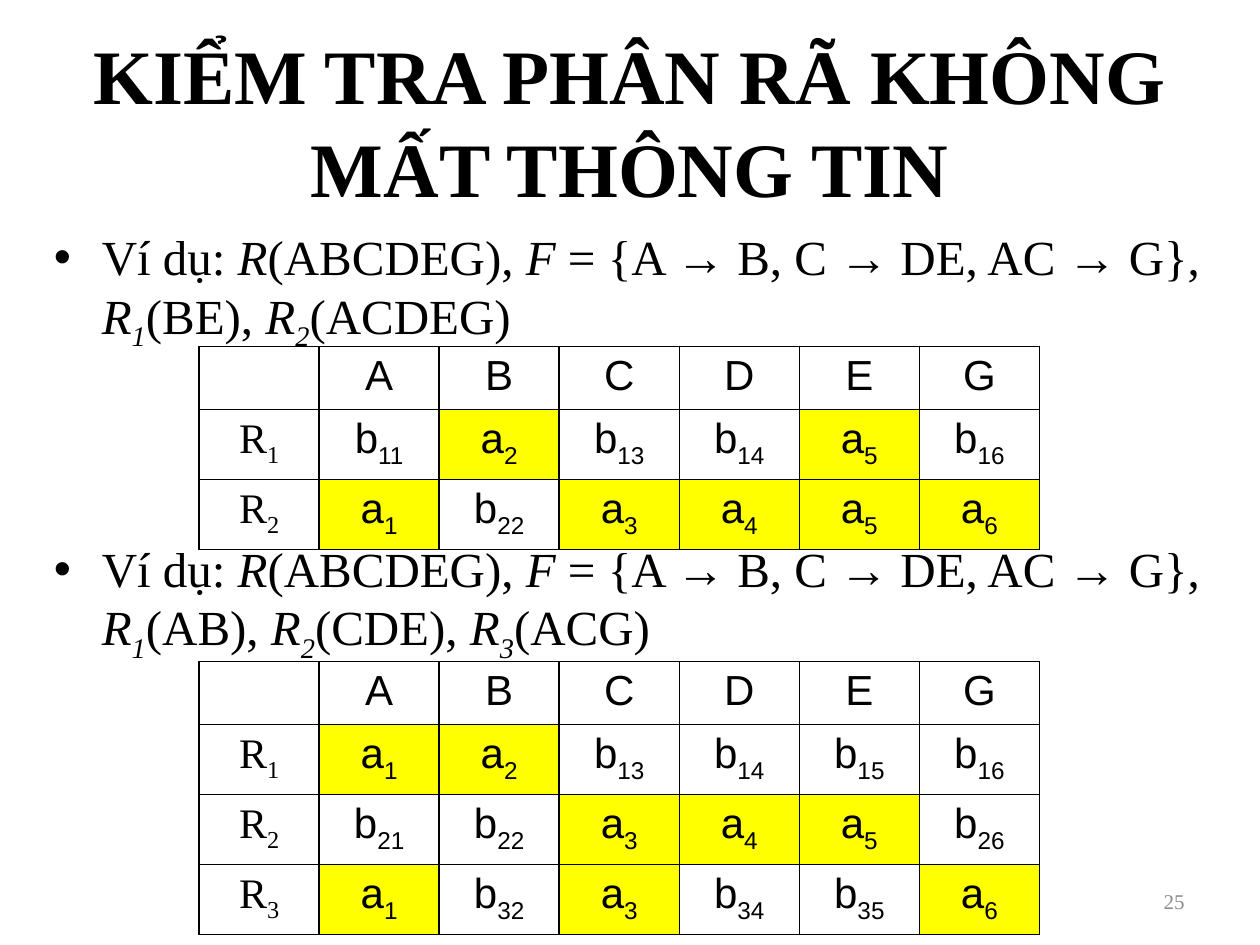
import pptx
import pptx.dml.color
import pptx.enum.text
import pptx.oxml
import pptx.oxml.ns
import pptx.util
from lxml import etree

Inches, Pt = pptx.util.Inches, pptx.util.Pt
ALIGN, ANCHOR = pptx.enum.text.PP_ALIGN, pptx.enum.text.MSO_ANCHOR
SERIF, SANS = "Times New Roman", "Arial"
BLACK, GREY, YELLOW = "000000", "8C8C8C", "FFFF00"

TITLE = "KIỂM TRA PHÂN RÃ KHÔNG MẤT THÔNG TIN"
PAGE_NUMBER = "25"

# Every second piece between bars is an italic symbol with an optional subscript.
GIVEN = "Ví dụ: |R|(ABCDEG), |F| = {A → B, C → DE, AC → G}, "
EXAMPLES = [
    GIVEN + "|R1|(BE), |R2|(ACDEG)",
    GIVEN + "|R1|(AB), |R2|(CDE), |R3|(ACG)",
]
HEADER = ["", "A", "B", "C", "D", "E", "G"]
TABLEAUS = [
    (2.75, [
        ["R1", "b11", "a2", "b13", "b14", "a5", "b16"],
        ["R2", "a1", "b22", "a3", "a4", "a5", "a6"],
    ]),
    (5.25, [
        ["R1", "a1", "a2", "b13", "b14", "b15", "b16"],
        ["R2", "b21", "b22", "a3", "a4", "a5", "b26"],
        ["R3", "a1", "b32", "a3", "b34", "b35", "a6"],
    ]),
]
TABLE_LEFT, TABLE_WIDTH = 1.58, 6.67
ROW_HEIGHT = 0.41  # a minimum: each row grows to fit its text
SPACE_FOR_TABLE = 113.5


def rgb(hex_color):
    return pptx.dml.color.RGBColor.from_string(hex_color)


def add_run(paragraph, text, color=BLACK, subscript=False, **font_values):
    run = paragraph.add_run()
    run.text = text
    for attribute, value in font_values.items():
        setattr(run.font, attribute, value)
    run.font.color.rgb = rgb(color)
    if subscript:
        run.font._element.set("baseline", "-25000")


def add_symbol(paragraph, symbol, **font_values):
    """Write the first letter, then the rest as its subscript."""
    add_run(paragraph, symbol[0], **font_values)
    if symbol[1:]:
        add_run(paragraph, symbol[1:], subscript=True, **font_values)


def add_text_frame(slide, box, anchor):
    frame = slide.shapes.add_textbox(*map(Inches, box)).text_frame
    frame.word_wrap = True
    frame.vertical_anchor = anchor
    return frame


def add_line(slide, box, text, alignment, **font_values):
    paragraph = add_text_frame(slide, box, ANCHOR.MIDDLE).paragraphs[0]
    paragraph.alignment = alignment
    add_run(paragraph, text, name=SERIF, **font_values)


def add_examples(slide):
    frame = add_text_frame(slide, (0.33, 1.8, 9.33, 4.95), ANCHOR.TOP)
    font_values = {"name": SERIF, "size": Pt(28)}
    for index, example in enumerate(EXAMPLES):
        paragraph = frame.add_paragraph() if index else frame.paragraphs[0]
        paragraph.line_spacing = 0.9
        paragraph.space_before = Pt(SPACE_FOR_TABLE if index else 0)
        properties = paragraph._p.get_or_add_pPr()
        properties.set("marL", str(Inches(0.38)))
        properties.set("indent", str(-Inches(0.38)))
        for tag, name, value in (("a:buFont", "typeface", SANS), ("a:buChar", "char", "•")):
            etree.SubElement(properties, pptx.oxml.ns.qn(tag)).set(name, value)
        for position, piece in enumerate(example.split("|")):
            if position % 2:
                add_symbol(paragraph, piece, italic=True, **font_values)
            else:
                add_run(paragraph, piece, **font_values)


def add_borders(cell):
    for side in ("lnL", "lnR", "lnT", "lnB"):
        cell._tc.get_or_add_tcPr().append(pptx.oxml.parse_xml(
            f'<a:{side} {pptx.oxml.ns.nsdecls("a")} w="{Pt(1)}">'
            f'<a:solidFill><a:srgbClr val="{BLACK}"/></a:solidFill></a:{side}>'))


def fill_cell(cell, symbol):
    add_borders(cell)
    if symbol.startswith("a"):
        cell.fill.solid()
        cell.fill.fore_color.rgb = rgb(YELLOW)
    else:
        cell.fill.background()
    paragraph = cell.text_frame.paragraphs[0]
    paragraph.alignment = ALIGN.CENTER
    if symbol:
        font_name = SERIF if symbol.startswith("R") else SANS
        add_symbol(paragraph, symbol, name=font_name, size=Pt(24))


def add_tableau(slide, top, relations):
    rows = [HEADER] + relations
    box = (TABLE_LEFT, top, TABLE_WIDTH, ROW_HEIGHT * len(rows))
    table = slide.shapes.add_table(len(rows), len(HEADER), *map(Inches, box)).table
    table.first_row = table.horz_banding = False
    for r, symbols in enumerate(rows):
        for c, symbol in enumerate(symbols):
            fill_cell(table.cell(r, c), symbol)


def main():
    deck = pptx.Presentation()
    deck.slide_width, deck.slide_height = Inches(10), Inches(7.5)
    slide = deck.slides.add_slide(deck.slide_layouts[6])
    add_line(slide, (0.5, 0.33, 9, 1.25), TITLE, ALIGN.CENTER, size=Pt(44), bold=True)
    add_examples(slide)
    add_line(slide, (7.17, 6.95, 2.33, 0.4), PAGE_NUMBER, ALIGN.RIGHT, size=Pt(12), color=GREY)
    for top, relations in TABLEAUS:
        add_tableau(slide, top, relations)
    deck.save("out.pptx")


if __name__ == "__main__":
    main()
